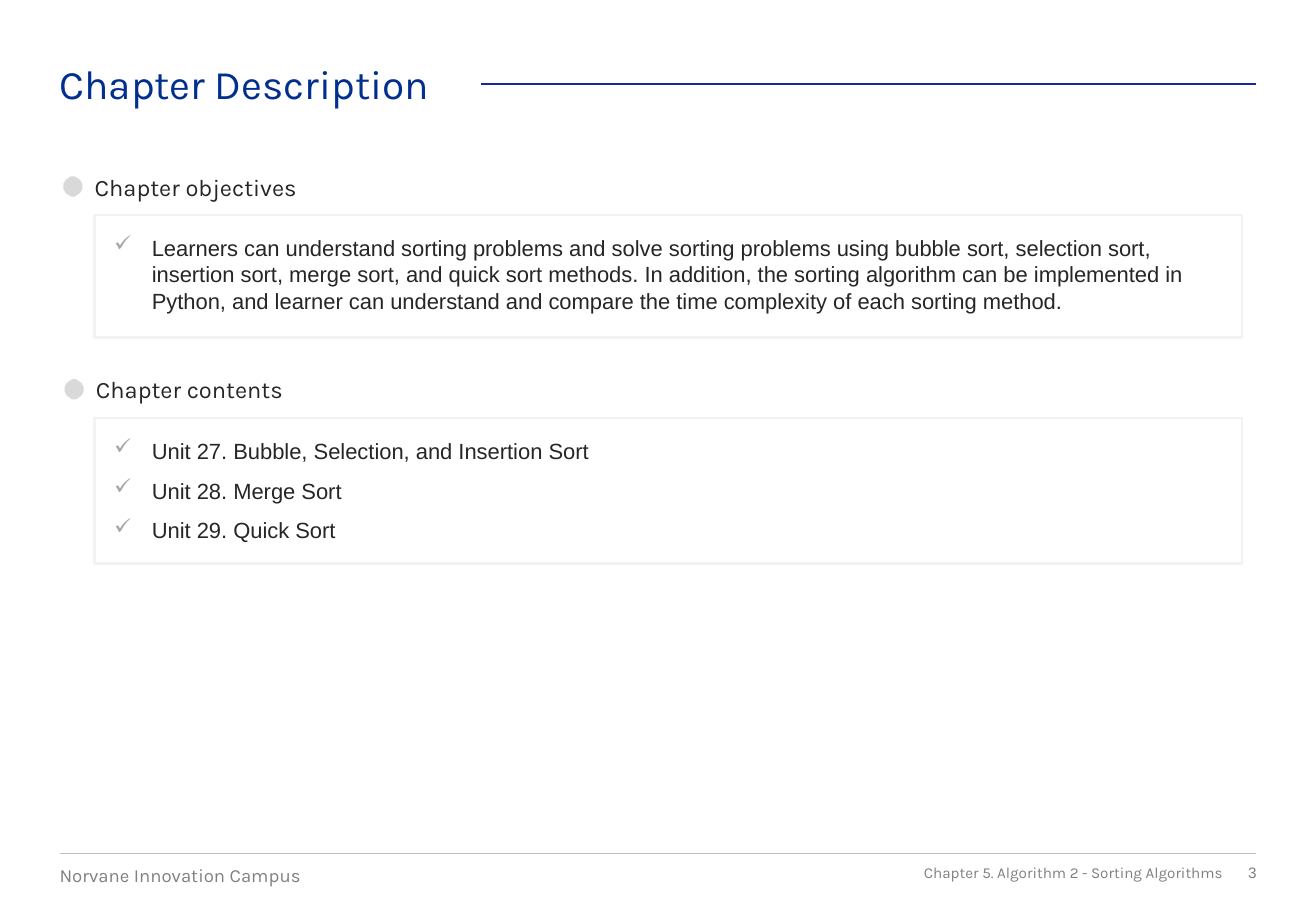
from dataclasses import dataclass
from lxml import etree
from pptx import Presentation, util as u
from pptx.dml.color import RGBColor
from pptx.enum import shapes, text
from pptx.oxml import ns


@dataclass(frozen=True)
class Theme:
    heading_font: str = "Karla"
    body_font: str = "Arial"
    title_size: float = 24
    section_size: float = 14
    body_size: float = 13
    campus_size: float = 11
    footer_size: float = 9
    title: str = "002F8E"
    rule: str = "1428A0"
    ink: str = "262626"
    muted: str = "808080"
    check: str = "A5A5A5"
    marker: str = "D9D9D9"
    frame: str = "F2F2F2"
    footer_rule: str = "BFBFBF"
    paper: str = "FFFFFF"


theme = Theme()


def write(box, lines, size, color, font=theme.heading_font, align=text.PP_ALIGN.LEFT,
          anchor=text.MSO_ANCHOR.TOP, inset=0, after=0, bullet=None):
    frame = box.text_frame
    frame.word_wrap = True
    frame.vertical_anchor = anchor
    frame.margin_left = frame.margin_right = u.Inches(inset)
    frame.margin_top = frame.margin_bottom = u.Inches(inset)
    for index, line in enumerate(lines):
        para = frame.add_paragraph() if index else frame.paragraphs[0]
        para.alignment = align
        para.space_after = u.Pt(after)
        if bullet:
            props = para._p.get_or_add_pPr()
            props.set("marL", str(u.Inches(0.31)))
            props.set("indent", str(u.Inches(-0.31)))
            tint = etree.SubElement(props, ns.qn("a:buClr"))
            etree.SubElement(tint, ns.qn("a:srgbClr")).set("val", theme.check)
            etree.SubElement(props, ns.qn("a:buChar")).set("char", bullet)
        span = para.add_run()
        span.text = line
        span.font.name = font
        span.font.size = u.Pt(size)
        span.font.color.rgb = RGBColor.from_string(color)


deck = Presentation()
deck.slide_width = u.Inches(10.83)
deck.slide_height = u.Inches(7.5)
page = deck.slides.add_slide(deck.slide_layouts[6])

left, right = 0.49, 10.34

for start, y, color, weight in [
    (left, 7.03, theme.footer_rule, 0.5),
    (3.96, 0.69, theme.rule, 1),
]:
    line = page.shapes.add_connector(
        shapes.MSO_CONNECTOR.STRAIGHT,
        u.Inches(start), u.Inches(y), u.Inches(right), u.Inches(y))
    line.line.color.rgb = RGBColor.from_string(color)
    line.line.width = u.Pt(weight)
    etree.SubElement(line._element.spPr, ns.qn("a:effectLst"))

footer = dict(size=theme.footer_size, color=theme.muted,
              align=text.PP_ALIGN.RIGHT, anchor=text.MSO_ANCHOR.MIDDLE)
labels = [
    ("Chapter Description", (left, 0.49, 9.61, 0.4),
     dict(size=theme.title_size, color=theme.title)),
    ("Norvane Innovation Campus", (left, 7.11, 3.16, 0.19),
     dict(size=theme.campus_size, color=theme.muted)),
    ("Chapter 5. Algorithm 2 - Sorting Algorithms", (6.55, 7.11, 3.51, 0.15), footer),
    ("3", (9.67, 7.11, 0.67, 0.15), dict(footer, font=theme.body_font)),
]

sections = [
    ("Chapter objectives", 0.78, 1.42, 1.01, [
        "Learners can understand sorting problems and solve sorting problems using "
        "bubble sort, selection sort, insertion sort, merge sort, and quick sort "
        "methods. In addition, the sorting algorithm can be implemented in Python, "
        "and learner can understand and compare the time complexity of each sorting "
        "method.",
    ]),
    ("Chapter contents", 0.79, 3.09, 1.2, [
        "Unit 27. Bubble, Selection, and Insertion Sort",
        "Unit 28. Merge Sort",
        "Unit 29. Quick Sort",
    ]),
]
hexagon = [(0, 0.09), (0.03, 0.04), (0.09, 0), (0.15, 0), (0.21, 0.04), (0.24, 0.09),
           (0.24, 0.16), (0.21, 0.21), (0.15, 0.25), (0.09, 0.25), (0.03, 0.21), (0, 0.16)]

for heading, x, y, height, items in sections:
    labels.append((heading, (x, y, 9.44, 0.24),
                   dict(size=theme.section_size, color=theme.ink)))

    points = [(u.Inches(x - 0.3 + dx), u.Inches(y - 0.01 + dy)) for dx, dy in hexagon]
    builder = page.shapes.build_freeform(*points[0])
    builder.add_line_segments(points[1:], close=True)
    marker = builder.convert_to_shape()
    marker.shadow.inherit = False
    marker.fill.solid()
    marker.fill.fore_color.rgb = RGBColor.from_string(theme.marker)
    marker.line.color.rgb = RGBColor.from_string(theme.paper)
    marker.line.width = u.Pt(6)

    panel = page.shapes.add_shape(
        shapes.MSO_SHAPE.RECTANGLE,
        u.Inches(0.78), u.Inches(y + 0.35), u.Inches(9.44), u.Inches(height))
    panel.shadow.inherit = False
    panel.fill.background()
    panel.line.color.rgb = RGBColor.from_string(theme.frame)
    panel.line.width = u.Pt(1.5)
    write(panel, items, theme.body_size, theme.ink, font=theme.body_font,
          inset=0.16, after=8, bullet="✓")

for label, bounds, style in labels:
    box = page.shapes.add_textbox(*map(u.Inches, bounds))
    write(box, [label], **style)

deck.save("out.pptx")
